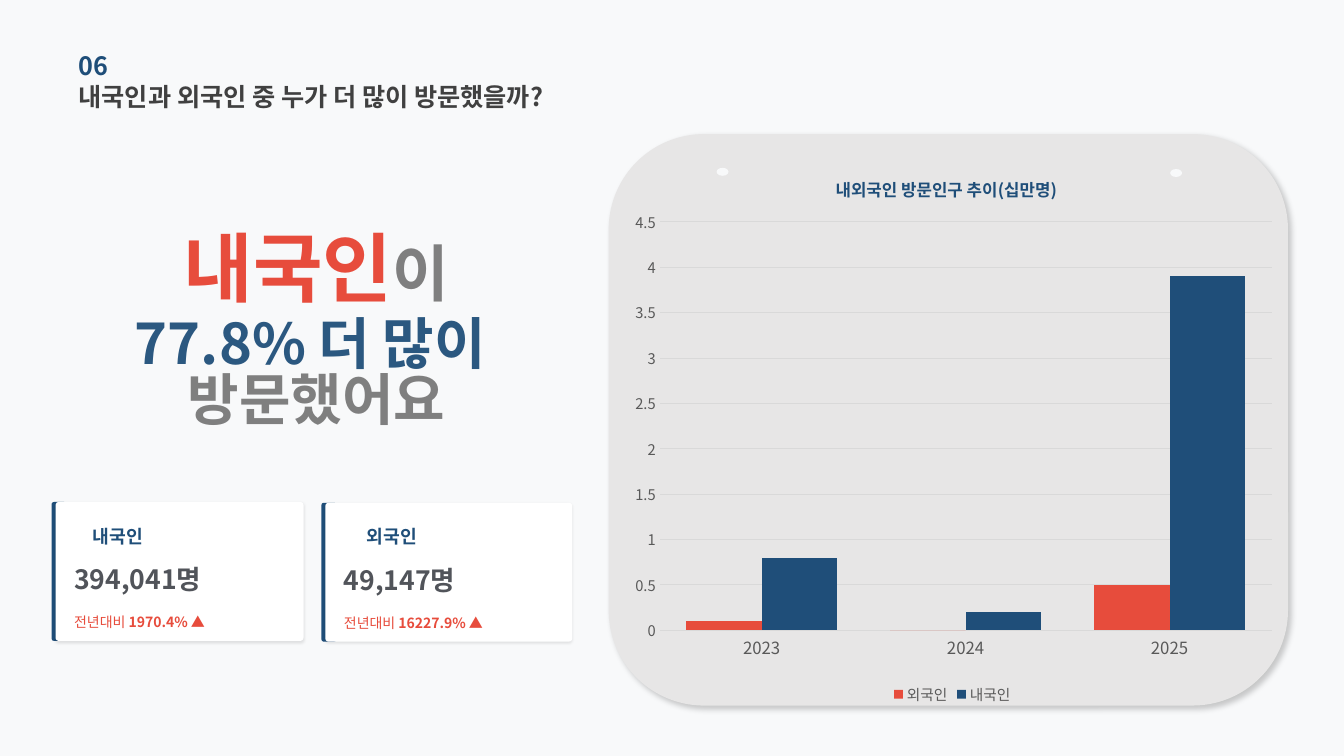
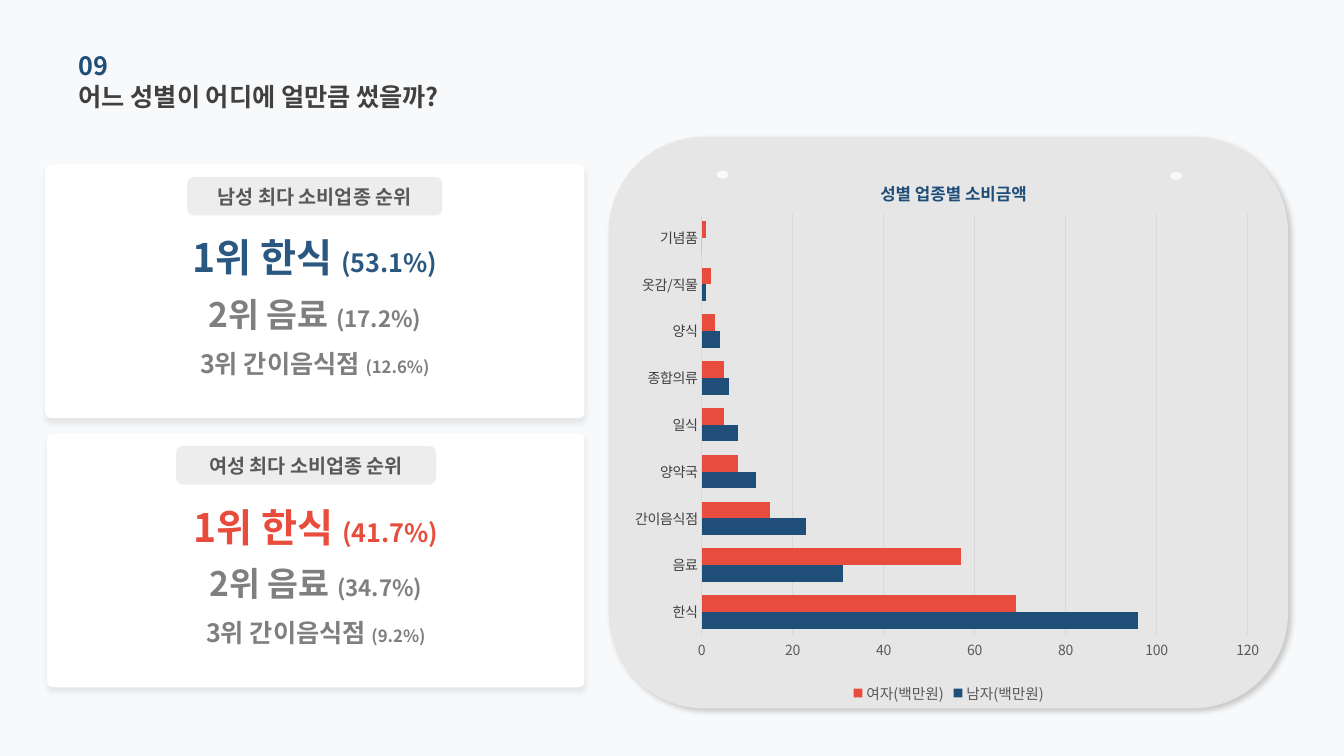
from dataclasses import dataclass

from lxml import etree
from pptx import Presentation
from pptx import util as u
from pptx.chart.data import CategoryChartData
from pptx.dml.color import RGBColor
from pptx.enum import chart as ch, shapes, text
from pptx.oxml.ns import qn


@dataclass(frozen=True)
class Theme:
    font: str = "Noto Sans CJK KR"
    back: str = "F8F9FA"
    card: str = "FFFFFF"
    panel: str = "E7E6E6"
    chip: str = "D0CECE"
    grid: str = "D9D9D9"
    navy: str = "1F4E79"
    blue: str = "2B5880"
    red: str = "E74C3C"
    dark: str = "404040"
    ink: str = "595959"
    slate: str = "51545A"
    gray: str = "7F7F7F"
    head: float = 18
    giant: float = 54
    huge: float = 44
    big: float = 40
    stat: float = 19
    label: float = 13
    chip_sz: float = 14
    title: float = 12
    key: float = 10.5
    small: float = 10


T = Theme()
SOFT = (20, 4, 3, 45)    # alpha %, blur pt, distance pt, angle
THIN = (10, 2, 1, 90)
DEEP = (8, 4, 3, 90)
CENTER = text.PP_ALIGN.CENTER
LEFT = text.PP_ALIGN.LEFT
ROUND = shapes.MSO_SHAPE.ROUNDED_RECTANGLE


def rgb(code):
    return RGBColor.from_string(code)


def cm(*vals):
    return [u.Cm(v) for v in vals]


def style(font, size, color, bold=False):
    font.size, font.name, font.bold = u.Pt(size), T.font, bold
    font.color.rgb = rgb(color)
    etree.SubElement(font._rPr, qn("a:ea")).set("typeface", T.font)


def fade(fmt, pct):
    """Set the opacity of a fill that is already solid."""
    for clr in fmt.iter(qn("a:srgbClr")):
        etree.SubElement(clr, qn("a:alpha")).set("val", str(pct * 1000))


def write(frame, paras, align=LEFT, anchor=text.MSO_ANCHOR.MIDDLE):
    """Fill a frame with paragraphs, each a list of (text, size, color, bold)."""
    frame.auto_size = text.MSO_AUTO_SIZE.NONE
    frame.word_wrap = True
    frame.vertical_anchor = anchor
    frame.margin_left = frame.margin_right = 0
    frame.margin_top = frame.margin_bottom = 0
    for i, runs in enumerate(paras):
        para = frame.add_paragraph() if i else frame.paragraphs[0]
        para.alignment = align
        for words, size, color, bold in runs:
            run = para.add_run()
            run.text = words
            style(run.font, size, color, bold)


def label(slide, box, paras, align=LEFT):
    item = slide.shapes.add_textbox(*cm(*box))
    write(item.text_frame, paras, align)
    return item


def block(slide, box, color, kind=ROUND, adj=None, shade=None):
    item = slide.shapes.add_shape(kind, *cm(*box))
    item.fill.solid()
    item.fill.fore_color.rgb = rgb(color)
    item.line.fill.background()
    item.shadow.inherit = False
    if adj is not None:
        item.adjustments[0] = adj
    if shade:
        alpha, blur, dist, angle = shade
        glow = etree.SubElement(
            item._element.spPr.find(qn("a:effectLst")), qn("a:outerShdw"),
            blurRad=str(u.Pt(blur)), dist=str(u.Pt(dist)),
            dir=str(angle * 60000), algn="tl", rotWithShape="0")
        tint = etree.SubElement(glow, qn("a:srgbClr"), val="000000")
        etree.SubElement(tint, qn("a:alpha"), val=str(alpha * 1000))
    return item


def place(item, box):
    item.left, item.top, item.width, item.height = cm(*box)


def header(slide, num, words):
    title = slide.shapes.title
    place(title, (1.98, 1.9, 13.4, 1.04))
    write(title.text_frame, [[(words, T.head, T.dark, True)]])
    label(slide, (1.98, 1.12, 11.5, 1.04), [[(num, T.head, T.navy, True)]])


def panel(slide, x, y):
    block(slide, (x, y, 17.12, 14.4), T.panel, shade=SOFT)
    for dx, dy in ((2.72, 0.85), (14.15, 0.88)):
        block(slide, (x + dx, y + dy, 0.3, 0.2), T.back,
              shapes.MSO_SHAPE.OVAL)


def layout(node, spot, **vals):
    """Give a chart part a manual layout in fractions of the chart."""
    old = node.find(qn("c:layout"))
    if old is not None:
        node.remove(old)
    new = etree.Element(qn("c:layout"))
    node.insert(spot, new)
    man = etree.SubElement(new, qn("c:manualLayout"))
    if "w" in vals:
        etree.SubElement(man, qn("c:layoutTarget"), val="inner")
    for key in ("x", "y"):
        etree.SubElement(man, qn(f"c:{key}Mode"), val="edge")
    for key, val in vals.items():
        etree.SubElement(man, qn(f"c:{key}"), val=str(val))


def graph(slide, box, kind, title, cats, series, gap, scale, cat_font,
          val_size, head, plot):
    """Draw a clustered chart; series holds (name, values, color)."""
    data = CategoryChartData()
    data.categories = cats
    for name, vals, _ in series:
        data.add_series(name, vals)
    chart = slide.shapes.add_chart(kind, *cm(*box), data).chart
    style(chart.font, T.small, T.ink)

    chart.has_title = True
    run = chart.chart_title.text_frame.paragraphs[0].add_run()
    run.text = title
    style(run.font, T.title, T.navy, True)
    layout(chart.chart_title._element, 1, x=head[0], y=head[1])

    chart.has_legend = True
    chart.legend.position = ch.XL_LEGEND_POSITION.BOTTOM
    chart.legend.include_in_layout = False
    style(chart.legend.font, T.key, T.ink)

    cat, val = chart.category_axis, chart.value_axis
    for axis in (cat, val):
        axis.major_tick_mark = axis.minor_tick_mark = ch.XL_TICK_MARK.NONE
    style(cat.tick_labels.font, *cat_font)
    style(val.tick_labels.font, val_size, T.ink)
    val.minimum_scale = 0
    val.maximum_scale, val.major_unit = scale
    val.has_major_gridlines = True
    for line in (cat.format.line, val.major_gridlines.format.line):
        line.color.rgb = rgb(T.grid)
        line.width = u.Pt(0.75)
    val.format.line.fill.background()

    bars = chart.plots[0]
    bars.gap_width, bars.overlap = gap, 0
    bars.vary_by_categories = False
    for ser, (_, _, color) in zip(bars.series, series):
        ser.invert_if_negative = False
        ser.format.fill.solid()
        ser.format.fill.fore_color.rgb = rgb(color)
    x, y, w, h = plot
    layout(chart._chartSpace.chart.plotArea, 0, x=x, y=y, w=w, h=h)


def stat(slide, box, inset, name, count, rate):
    x, y, w, h = box
    block(slide, (x - 0.1, y, 0.38, h), T.navy)
    block(slide, box, T.card, adj=0.023, shade=THIN)
    label(slide, (x + inset, y + 0.5, 1.65, 0.7),
          [[(name, T.label, T.navy, True)]])
    label(slide, (x + 0.47, y + 1.45, w, 1),
          [[(count, T.stat, T.slate, True)]])
    label(slide, (x + 0.47, y + 2.46, w, 1.14),
          [[("전년대비 ", T.small, T.red, False),
            (rate, T.small, T.red, True)]])


def claim(slide, x, y):
    label(slide, (x + 1.55, y, 10.9, 1.22),
          [[("내국인", T.giant, T.red, True),
            ("이", T.huge, T.gray, True)]], CENTER)
    lower = label(slide, (x, y + 2.3, 14.02, 2.13),
                  [[("77.8% 더 많이 ", T.big, T.blue, True)],
                   [("방문했어요", T.big, T.gray, True)]], CENTER)
    for para in lower.text_frame.paragraphs:
        para.line_spacing = 0.83


def ranks(slide, body, box, chip, name, color, rows):
    """Card with a chip heading and a ranking in the given placeholder."""
    x, y, w, h = box
    dx, wide = chip
    block(slide, box, T.card, adj=0.023, shade=DEEP)
    tag = block(slide, (x + dx, y + 0.32, wide, 0.97), T.chip)
    fade(tag._element.spPr, 36)
    write(tag.text_frame, [[(name, T.chip_sz, T.ink, True)]], CENTER)

    place(body, (x, y + 1.75, w, 4.3))
    looks = ((28, 18, color, 0), (24, 16, T.gray, 9), (18, 12, T.gray, 10.5))
    write(body.text_frame,
          [[(item + " ", size, tone, True), (share, sub, tone, True)]
           for (item, share), (size, sub, tone, _) in zip(rows, looks)],
          CENTER, text.MSO_ANCHOR.TOP)
    for para, look in zip(body.text_frame.paragraphs, looks):
        props = para._p.get_or_add_pPr()
        props.set("marL", "0")
        props.set("indent", "0")
        etree.SubElement(props, qn("a:buNone"))
        para.space_before = u.Pt(look[3])
    slide.shapes._spTree.append(body._element)


def visits(deck):
    slide = deck.slides.add_slide(deck.slide_layouts[5])
    x, y = 15.34, 3.38
    panel(slide, x, y)
    header(slide, "06", "내국인과 외국인 중 누가 더 많이 방문했을까?")
    claim(slide, 0.97, 6.1)
    stat(slide, (1.4, 12.65, 6.25, 3.5), 0.94,
         "내국인", "394,041명", "1970.4% ▲")
    stat(slide, (8.2, 12.67, 6.22, 3.5), 1.04,
         "외국인", "49,147명", "16227.9% ▲")
    graph(slide, (x + 0.28, y + 0.38, 16.76, 14.1),
          ch.XL_CHART_TYPE.COLUMN_CLUSTERED, "내외국인 방문인구 추이(십만명)",
          ["2023", "2024", "2025"],
          [("외국인", (0.1, 0, 0.5), T.red),
           ("내국인", (0.8, 0.2, 3.9), T.navy)],
          70, (4.5, 0.5), (12, T.ink), T.key,
          (0.32, 0.04), (0.06, 0.13, 0.92, 0.73))


def spend(deck):
    slide = deck.slides.add_slide(deck.slide_layouts[3])
    x, y = 15.34, 3.45
    panel(slide, x, y)
    header(slide, "09", "어느 성별이 어디에 얼만큼 썼을까?")
    men, women = [p for p in slide.placeholders
                  if p.placeholder_format.idx in (1, 2)]
    ranks(slide, men, (1.14, 4.14, 13.59, 6.4), (3.58, 6.43),
          "남성 최다 소비업종 순위", T.blue,
          [("1위 한식", "(53.1%)"), ("2위 음료", "(17.2%)"),
           ("3위 간이음식점", "(12.6%)")])
    ranks(slide, women, (1.19, 10.92, 13.54, 6.4), (3.25, 6.55),
          "여성 최다 소비업종 순위", T.red,
          [("1위 한식", "(41.7%)"), ("2위 음료", "(34.7%)"),
           ("3위 간이음식점", "(9.2%)")])
    graph(slide, (x + 0.38, y + 0.41, 16.38, 13.97),
          ch.XL_CHART_TYPE.BAR_CLUSTERED, "성별 업종별 소비금액",
          ["한식", "음료", "간이음식점", "양약국", "일식", "종합의류", "양식",
           "옷감/직물", "기념품"],
          [("남자(백만원)", (96, 31, 23, 12, 8, 6, 4, 1, 0), T.navy),
           ("여자(백만원)", (69, 57, 15, 8, 5, 5, 3, 2, 1), T.red)],
          80, (120, 20), (T.small, T.dark), T.small,
          (0.39, 0.04), (0.12, 0.11, 0.84, 0.76))


def main():
    deck = Presentation()
    deck.slide_width, deck.slide_height = cm(33.87, 19.05)
    fill = deck.slide_master.background.fill
    fill.solid()
    fill.fore_color.rgb = rgb(T.back)
    visits(deck)
    spend(deck)
    deck.save("out.pptx")


if __name__ == "__main__":
    main()
